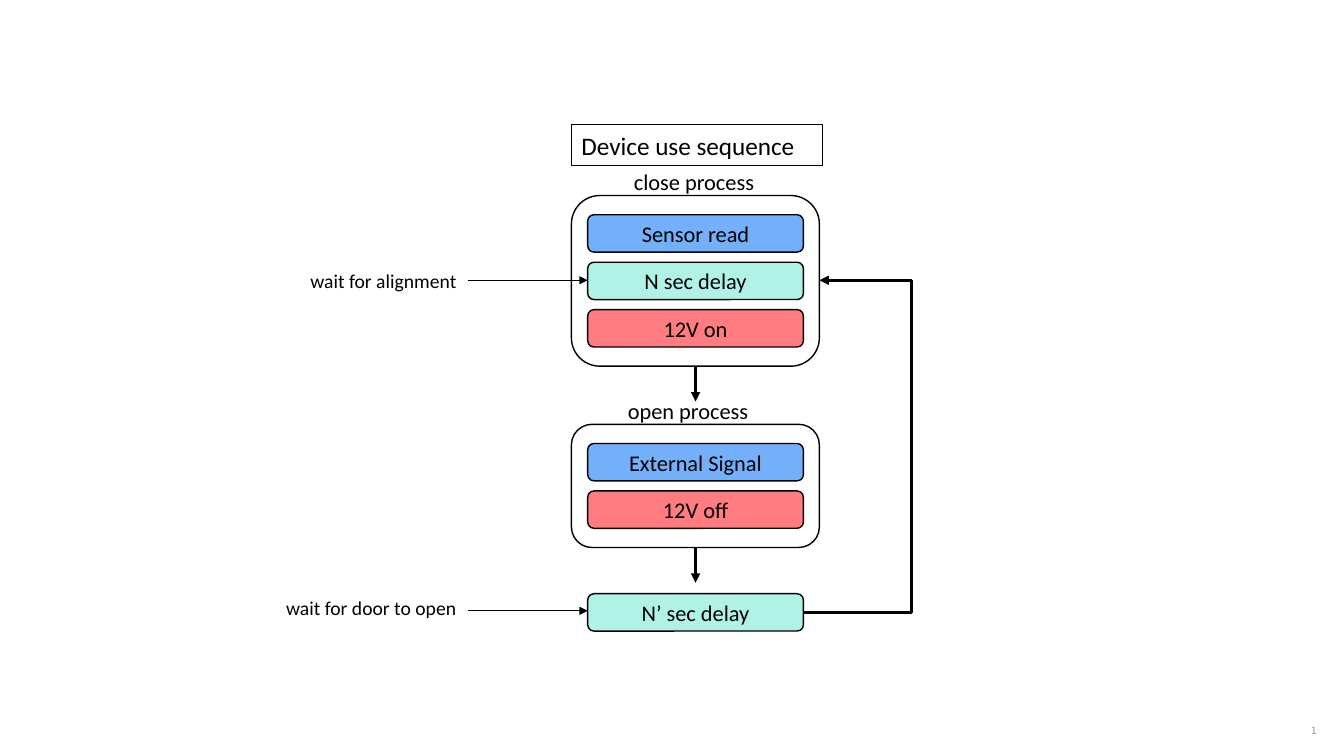
"""Build the slide with the use sequence of the door lock."""
from lxml import etree
from pptx import Presentation
from pptx.dml.color import RGBColor
from pptx.enum import shapes as kinds, text as txt
from pptx.oxml import ns
from pptx.util import Pt

HUES = {"ink": "000000", "read": "73B0F9", "wait": "B1F2E6",
        "power": "FF7C80", "page": "8C8C8C"}
FONT = "Calibri"
LABELS = [
    ("close process", (445.7, 116.6, 103, 26.6), 16),
    ("open process", (441.4, 280.1, 101.5, 26.6), 16),
    ("wait for alignment", (214.6, 188.6, 120.2, 24.2), 14),
    ("wait for door to open", (197.3, 422, 136.8, 24.2), 14),
]
STAGES = [
    (139.7, [("Sensor read", "read"), ("N sec delay", "wait"), ("12V on", "power")]),
    (303.1, [("External Signal", "read"), ("12V off", "power")]),
]
TITLE = ("Device use sequence", (408.2, 89.3, 179.3, 28.8), 18)
PAGE = ("1", (903.6, 512.6, 36.7, 18), 7)
LAST = ("N’ sec delay", "wait")
LAST_TOP = 424.1
LEFT, WIDE = 408.2, 177.1
STEP_X, STEP_W, STEP_H = 419.8, 154.1, 26.7
PITCH, PAD, DROP = 33.9, 13.7, 25.2
NOTE_X, LOOP_X = 334.1, 650.9
NOTE_YS = (200.2, 436.3)

WORDS = {"word_wrap": False, "auto_size": txt.MSO_AUTO_SIZE.SHAPE_TO_FIT_TEXT,
         "vertical_anchor": txt.MSO_ANCHOR.TOP}
BLOCK = {"word_wrap": True, "auto_size": txt.MSO_AUTO_SIZE.NONE,
         "vertical_anchor": txt.MSO_ANCHOR.MIDDLE}
FOOT = {"word_wrap": False, "vertical_anchor": txt.MSO_ANCHOR.MIDDLE,
        "margin_left": 0, "margin_right": 0}


def assign(item, values):
    for name, value in values.items():
        setattr(item, name, value)


def paint(fill, hue):
    fill.solid()
    fill.fore_color.rgb = RGBColor.from_string(HUES[hue])


def write(shape, words, size, frame, align=txt.PP_ALIGN.LEFT, hue="ink", font=FONT):
    assign(shape.text_frame, frame)
    para = shape.text_frame.paragraphs[0]
    para.alignment = align
    run = para.add_run()
    run.text = words
    assign(run.font, {"name": font, "size": Pt(size)})
    paint(run.font.fill, hue)


def box(slide, kind, area, hue=None, line=1):
    shape = slide.shapes.add_shape(kind, *map(Pt, area))
    shape.shadow.inherit = False
    if hue:
        paint(shape.fill, hue)
    else:
        shape.fill.background()
    paint(shape.line.fill, "ink")
    shape.line.width = Pt(line)
    return shape


def step(slide, top, words, hue):
    shape = box(slide, kinds.MSO_SHAPE.ROUNDED_RECTANGLE,
                (STEP_X, top, STEP_W, STEP_H), hue)
    write(shape, words, 16, BLOCK, txt.PP_ALIGN.CENTER)


def arrow(slide, ends, width, kind=kinds.MSO_CONNECTOR.STRAIGHT):
    link = slide.shapes.add_connector(kind, *map(Pt, ends))
    paint(link.line.fill, "ink")
    link.line.width = Pt(width)
    props = link._element.spPr
    etree.SubElement(props.find(ns.qn("a:ln")), ns.qn("a:tailEnd"), type="triangle")
    etree.SubElement(props, ns.qn("a:effectLst"))
    return props


def label(slide, words, area, size, frame=WORDS, **style):
    shape = slide.shapes.add_textbox(*map(Pt, area))
    write(shape, words, size, frame, **style)


def stage(slide, top, steps):
    high = 2 * PAD + STEP_H + (len(steps) - 1) * PITCH
    box(slide, kinds.MSO_SHAPE.ROUNDED_RECTANGLE, (LEFT, top, WIDE, high))
    for i, (words, hue) in enumerate(steps):
        step(slide, top + PAD + i * PITCH, words, hue)
    mid = STEP_X + STEP_W / 2
    arrow(slide, (mid, top + high, mid, top + high + DROP), 2.25)


def loop(slide):
    start, end = STEP_X + STEP_W, LEFT + WIDE
    props = arrow(slide, (start, LAST_TOP + STEP_H / 2, end, NOTE_YS[0]), 2.25,
                  kinds.MSO_CONNECTOR.ELBOW)
    bend = round((LOOP_X - start) / (end - start) * 100000)
    guides = props.find(ns.qn("a:prstGeom")).find(ns.qn("a:avLst"))
    etree.SubElement(guides, ns.qn("a:gd"), name="adj1", fmla=f"val {bend}")


def main():
    deck = Presentation()
    assign(deck, {"slide_width": Pt(960), "slide_height": Pt(540)})
    slide = deck.slides.add_slide(deck.slide_layouts[6])
    label(slide, *PAGE, FOOT, align=txt.PP_ALIGN.RIGHT, hue="page",
          font="Noto Sans CJK KR")
    words, area, size = TITLE
    write(box(slide, kinds.MSO_SHAPE.RECTANGLE, area, line=0.75), words, size, WORDS)
    for top, steps in STAGES:
        stage(slide, top, steps)
    step(slide, LAST_TOP, *LAST)
    for item in LABELS:
        label(slide, *item)
    for y in NOTE_YS:
        arrow(slide, (NOTE_X, y, STEP_X, y), 0.5)
    loop(slide)
    deck.save("out.pptx")


if __name__ == "__main__":
    main()
